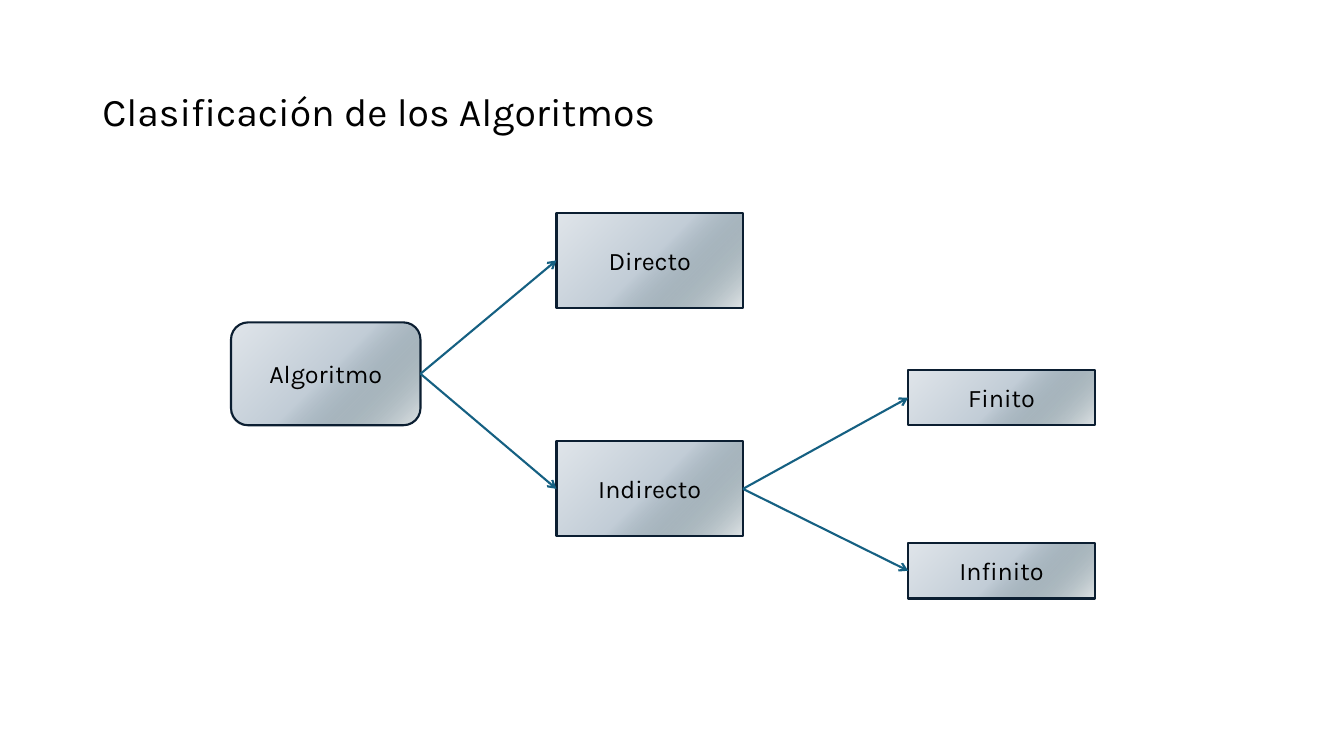
from lxml import etree
from pptx import Presentation, util as u
from pptx.dml.color import RGBColor
from pptx.enum import shapes, text
from pptx.oxml import parse_xml
from pptx.oxml.ns import nsdecls, qn

COLORS = {"text": "000000", "border": "0B1E31", "arrow": "156082",
          "shade": "0B3041", "middle": "C2CDD7", "light": "E1E6EB"}
FONT = "Karla"
CELL = u.Inches(1 / 12)  # the slide is a grid of 160 columns by 90 rows

# name: (level, middle row, height in rows, parent)
TREE = {
    "Algoritmo": (0, 19.5, 12.25, None),
    "Directo": (1, 6, 11.3, "Algoritmo"),
    "Indirecto": (1, 33.2, 11.3, "Algoritmo"),
    "Finito": (2, 22.35, 6.6, "Indirecto"),
    "Infinito": (2, 42.95, 6.6, "Indirecto"),
}
LEVELS = [(0, 22.56), (38.75, 22.2), (80.62, 22.2)]  # left column, width
LEFT_SITE, RIGHT_SITE = 1, 3


def cells(*counts):
    return [round(count * CELL) for count in counts]


def style_text(frame, size, align):
    frame.vertical_anchor = text.MSO_ANCHOR.MIDDLE
    frame.word_wrap = True
    for paragraph in frame.paragraphs:
        paragraph.alignment = align
        for run in paragraph.runs:
            run.font.name, run.font.size = FONT, u.Pt(size)
            run.font.color.rgb = RGBColor.from_string(COLORS["text"])


def style_line(line, color):
    line.color.rgb = RGBColor.from_string(COLORS[color])
    line.width = u.Pt(1.5)


def fill_radial(shape):
    """Gradient spreading from the bottom right corner, where it is see-through."""
    shape.fill.background()
    properties = shape.element.spPr
    gradient = parse_xml(
        f'<a:gradFill {nsdecls("a")} rotWithShape="1"><a:gsLst>'
        f'<a:gs pos="0"><a:srgbClr val="{COLORS["shade"]}"><a:alpha val="12000"/></a:srgbClr></a:gs>'
        f'<a:gs pos="50000"><a:srgbClr val="{COLORS["middle"]}"/></a:gs>'
        f'<a:gs pos="100000"><a:srgbClr val="{COLORS["light"]}"/></a:gs></a:gsLst>'
        '<a:path path="circle"><a:fillToRect l="100000" t="100000"/></a:path></a:gradFill>')
    properties.replace(properties.find(qn("a:noFill")), gradient)


def add_title(slide, box):
    title = slide.shapes.title
    title.left, title.top, title.width, title.height = cells(*box)
    title.text_frame.text = "Clasificación de los Algoritmos"
    style_text(title.text_frame, 28, text.PP_ALIGN.LEFT)
    title.text_frame.paragraphs[0].line_spacing = 0.9


def add_node(slide, name, kind, box):
    node = slide.shapes.add_shape(kind, *cells(*box))
    node.shadow.inherit = False
    fill_radial(node)
    style_line(node.line, "border")
    node.text_frame.text = name
    style_text(node.text_frame, 18, text.PP_ALIGN.CENTER)
    return node


def add_arrow(slide, parent, child):
    arrow = slide.shapes.add_connector(shapes.MSO_CONNECTOR.STRAIGHT, 0, 0, 0, 0)
    arrow.begin_connect(parent, RIGHT_SITE)
    arrow.end_connect(child, LEFT_SITE)
    style_line(arrow.line, "arrow")
    properties = arrow.element.spPr
    etree.SubElement(properties.find(qn("a:ln")), qn("a:tailEnd"), type="arrow")
    etree.SubElement(properties, qn("a:effectLst"))


def add_tree(slide, left, top):
    nodes = {}
    for name, (level, middle, height, parent) in TREE.items():
        column, width = LEVELS[level]
        kind = shapes.MSO_SHAPE.RECTANGLE if parent else shapes.MSO_SHAPE.ROUNDED_RECTANGLE
        box = (left + column, top + middle - height / 2, width, height)
        nodes[name] = add_node(slide, name, kind, box)
    for name, (*_, parent) in TREE.items():
        if parent:
            add_arrow(slide, nodes[parent], nodes[name])


def main():
    deck = Presentation()
    deck.slide_width, deck.slide_height = cells(160, 90)
    slide = deck.slides.add_slide(deck.slide_layouts[5])
    add_title(slide, (11, 4.8, 138, 17.4))
    add_tree(slide, 27.5, 25)
    deck.save("out.pptx")


if __name__ == "__main__":
    main()
